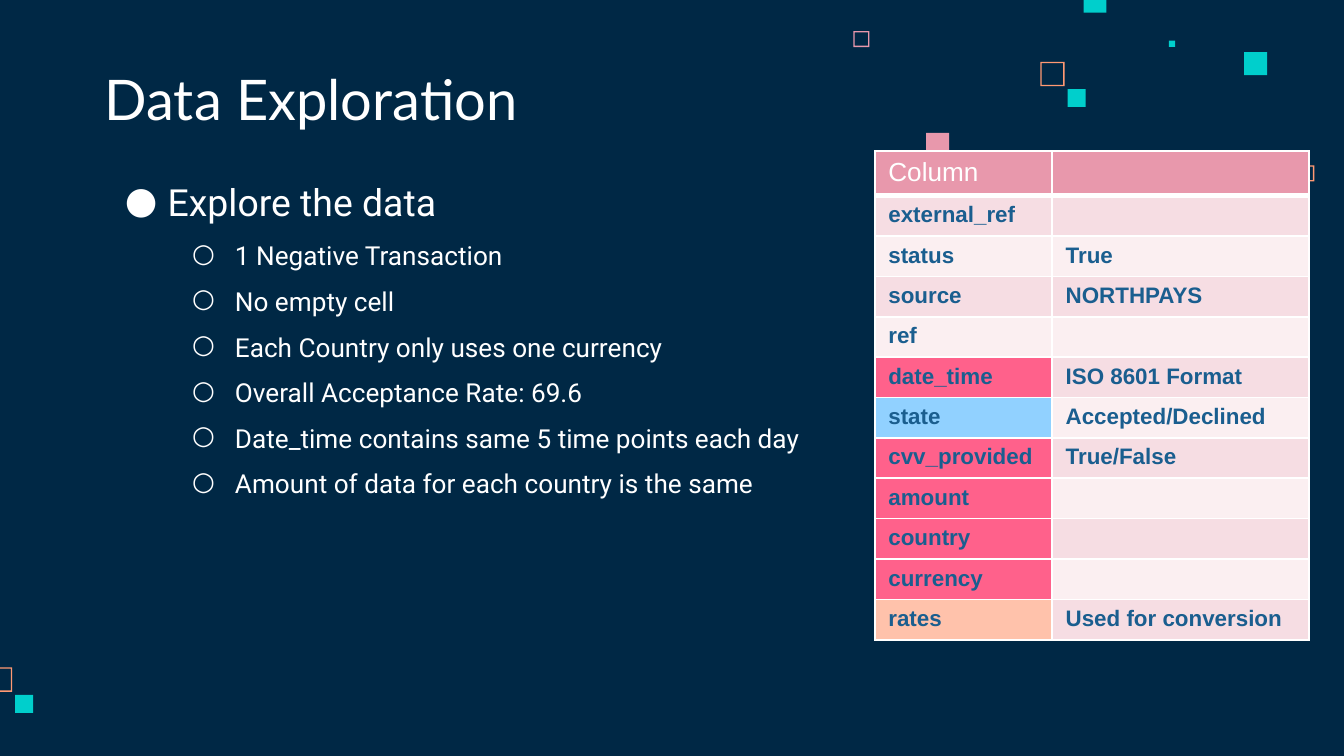
from lxml import etree
from pptx import Presentation
from pptx.dml.color import RGBColor
from pptx.enum.shapes import MSO_SHAPE as Form
from pptx.enum.text import MSO_ANCHOR as Anchor
from pptx.oxml.ns import qn
from pptx.util import Pt

WHITE, NAVY, BLUE = "FFFFFF", "002845", "1A5E8F"
PINK, TEAL, ORANGE = "E898AC", "00CFCC", "FF9973"
BANDS = ("F6DDE3", "FBEFF1")
RED, SKY, PEACH = "FF618B", "91D1FF", "FFC2AB"

# Offset from the group's corner, side, colour, hollow or not
TOP = [
    (245.5, 88.6, 8.6, ORANGE, True),
    (7.2, 16.6, 8.6, PINK, True),
    (107.3, 33.1, 13, ORANGE, True),
    (176.2, 21.8, 3.4, TEAL, False),
    (130.5, -5.5, 12.3, TEAL, False),
    (216.5, 28, 12.3, TEAL, False),
    (122, 47.7, 9.6, TEAL, False),
    (46.2, 71.2, 12.3, PINK, False),
]
LOW = [
    (-6.5, 7.6, 13, ORANGE, True),
    (8.1, 22.3, 9.6, TEAL, False),
]
# Column name, note, fill of the name (None takes the band's colour)
FIELDS = [
    ("external_ref", "", None),
    ("status", "True", None),
    ("source", "NORTHPAYS", None),
    ("ref", "", None),
    ("date_time", "ISO 8601 Format", RED),
    ("state", "Accepted/Declined", SKY),
    ("cvv_provided", "True/False", RED),
    ("amount", "", RED),
    ("country", "", RED),
    ("currency", "", RED),
    ("rates", "Used for conversion", PEACH),
]
POINTS = [
    "1 Negative Transaction",
    "No empty cell",
    "Each Country only uses one currency",
    "Overall Acceptance Rate: 69.6",
    "Date_time contains same 5 time points each day",
    "Amount of data for each country is the same",
]


def paint(target, color):
    """Give a fill one solid colour."""
    target.solid()
    target.fore_color.rgb = RGBColor.from_string(color)


def write(para, text, size=12, font="Arial", color=WHITE, bold=False):
    """Put formatted text in a paragraph; an empty one keeps its size."""
    if not text:
        end = etree.SubElement(para._p, qn("a:endParaRPr"))
        end.set("sz", str(size * 100))
        return
    run = para.add_run()
    run.text = text
    run.font.size, run.font.name, run.font.bold = Pt(size), font, bold
    paint(run.font.fill, color)


def mark(para, sign, left, hang=23):
    """Add a white bullet with a hanging indent."""
    props = para._p.get_or_add_pPr()
    props.set("marL", str(Pt(left)))
    props.set("indent", str(-Pt(hang)))
    tint = etree.SubElement(props, qn("a:buClr"))
    etree.SubElement(tint, qn("a:srgbClr")).set("val", WHITE)
    etree.SubElement(props, qn("a:buFont")).set("typeface", "Roboto")
    etree.SubElement(props, qn("a:buChar")).set("char", sign)


def edge(cell, base=1):
    """Draw white borders; base is the width of the bottom one."""
    props = cell._tc.get_or_add_tcPr()
    sides = [("L", 1), ("R", 1), ("T", 1), ("B", base)]
    for spot, (side, width) in enumerate(sides):
        line = etree.Element(qn(f"a:ln{side}"), w=str(Pt(width)))
        solid = etree.SubElement(line, qn("a:solidFill"))
        etree.SubElement(solid, qn("a:srgbClr")).set("val", WHITE)
        props.insert(spot, line)


def frame(slide, left, top, width, height, anchor):
    """Add a wrapping text box with even margins."""
    box = slide.shapes.add_textbox(Pt(left), Pt(top), Pt(width), Pt(height))
    text = box.text_frame
    text.word_wrap, text.vertical_anchor = True, anchor
    text.margin_left = text.margin_right = Pt(7.2)
    text.margin_top = text.margin_bottom = Pt(7.2)
    return text


def decor(slide, left, top, squares):
    """Scatter solid and hollow squares from a corner."""
    for x, y, side, color, hollow in squares:
        kind = Form.FRAME if hollow else Form.RECTANGLE
        shape = slide.shapes.add_shape(
            kind, Pt(left + x), Pt(top + y), Pt(side), Pt(side))
        if hollow:
            shape.adjustments[0] = 0.7 / side
        paint(shape.fill, color)
        shape.line.fill.background()
        shape.shadow.inherit = False


def title(slide, left, top, width, height):
    text = frame(slide, left, top, width, height, Anchor.BOTTOM)
    write(text.paragraphs[0], "Data Exploration", size=30, font="Lato")


def fields(slide, left, top, width, height):
    """Table of data columns, banded, with some names highlighted."""
    head, first = 23, 95
    row = (height - head) / len(FIELDS)
    table = slide.shapes.add_table(
        len(FIELDS) + 1, 2, Pt(left), Pt(top), Pt(width), Pt(height)).table
    table.columns[0].width = Pt(first)
    table.columns[1].width = Pt(width - first)

    # Header
    table.rows[0].height = Pt(head)
    for cell, text in zip(table.rows[0].cells, ("Column", "")):
        write(cell.text_frame.paragraphs[0], text, size=14)
        paint(cell.fill, PINK)
        edge(cell, base=3)

    # Body
    for i, (name, note, color) in enumerate(FIELDS):
        line, band = table.rows[i + 1], BANDS[i % 2]
        line.height = Pt(row)
        pairs = ((name, color or band), (note, band))
        for cell, (text, fill) in zip(line.cells, pairs):
            write(cell.text_frame.paragraphs[0], text, color=BLUE, bold=True)
            paint(cell.fill, fill)
            edge(cell)


def bullets(slide, left, top, width, height):
    """Main point with its list of findings."""
    text = frame(slide, left, top, width, height, Anchor.TOP)
    lead = text.paragraphs[0]
    mark(lead, "●", 36)
    write(lead, "Explore the data", size=20, font="Roboto")
    for point in POINTS:
        para = text.add_paragraph()
        para.level, para.line_spacing, para.space_before = 1, 0.5, Pt(16)
        mark(para, "○", 72)
        write(para, point, size=14, font="Roboto")


def main():
    deck = Presentation()
    deck.slide_width, deck.slide_height = Pt(720), Pt(405)
    slide = deck.slides.add_slide(deck.slide_layouts[6])
    paint(slide.background.fill, NAVY)
    decor(slide, 450, 0, TOP)
    decor(slide, 0, 350, LOW)
    title(slide, 49, 32.4, 372, 45.4)
    fields(slide, 468.7, 80.8, 232.4, 250)
    bullets(slide, 46.8, 88.6, 626.4, 247)
    deck.save("out.pptx")


if __name__ == "__main__":
    main()
